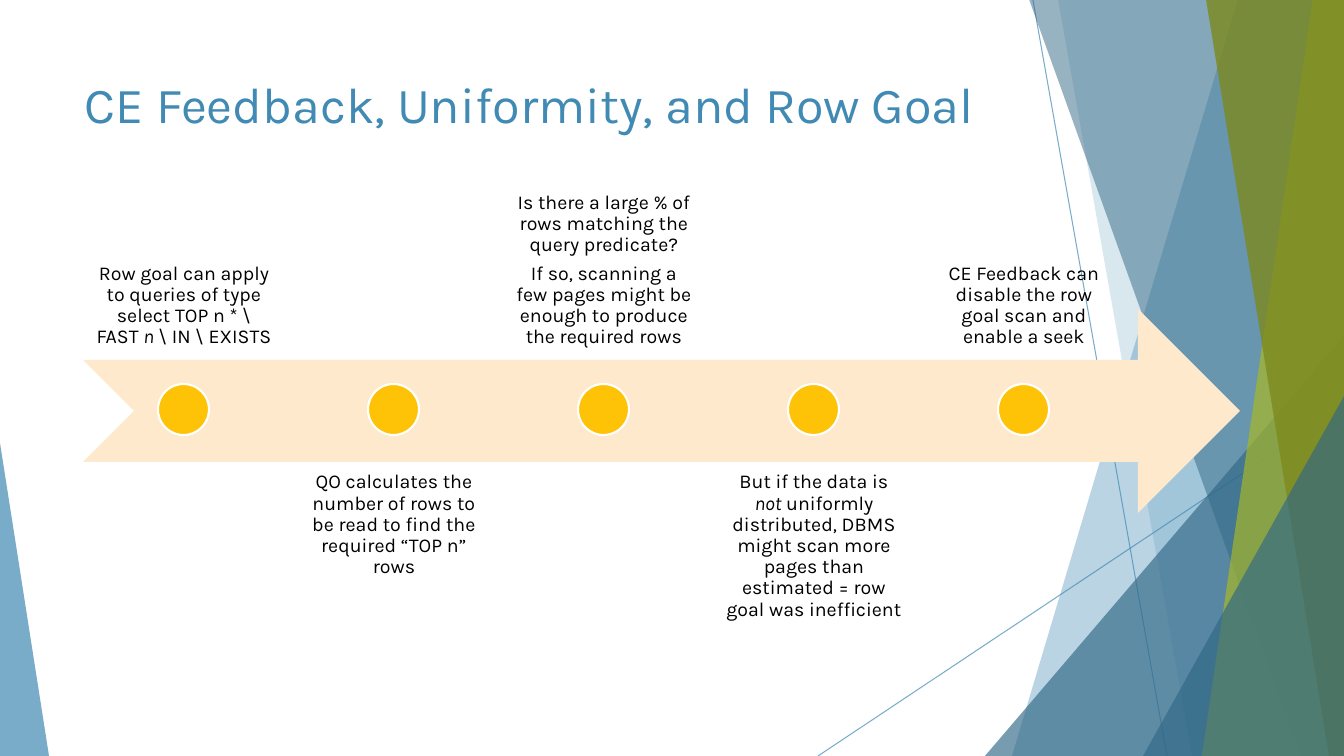
from lxml.etree import SubElement
from pptx import Presentation
from pptx.dml.color import RGBColor
from pptx.enum.shapes import MSO_CONNECTOR, MSO_SHAPE
from pptx.enum.text import MSO_ANCHOR, PP_ALIGN
from pptx.oxml.ns import qn
from pptx.util import Emu, Pt

W, H = 1344, 756
BLUE = RGBColor(0x41, 0x8A, 0xB3)
DARK_BLUE = RGBColor(0x31, 0x68, 0x86)
GREEN = RGBColor(0xA6, 0xB7, 0x27)
OLIVE = RGBColor(0x7D, 0x89, 0x1D)
CREAM = RGBColor(0xFF, 0xE9, 0xCC)
GOLD = RGBColor(0xFE, 0xC3, 0x06)
WHITE = RGBColor(0xFF, 0xFF, 0xFF)
BLACK = RGBColor(0, 0, 0)
FONT = "Karla"


def px(n):
    return Emu(round(n * 12192000 / W))


def paint(fill, color, opacity=100):
    fill.solid()
    fill.fore_color.rgb = color
    if opacity < 100:
        clr = fill._xPr.find(qn("a:solidFill"))[0]
        SubElement(clr, qn("a:alpha")).set("val", str(opacity * 1000))


prs = Presentation()
prs.slide_width, prs.slide_height = px(W), px(H)
slide = prs.slides.add_slide(prs.slide_layouts[6])
shapes = slide.shapes

# Thin background lines
for x1, y1, x2, y2 in [(1033, 0, 1167, H), (W, 406, 818, H)]:
    line = shapes.add_connector(MSO_CONNECTOR.STRAIGHT, px(x1), px(y1), px(x2), px(y2))
    line.line.width = Pt(0.75)
    paint(line.line.fill, BLUE, 70)
    SubElement(line._element.spPr, qn("a:effectLst"))

# Translucent facets, back to front: bands give (top x, bottom x) of their
# left edge, triangles give (left, top, width, apex)
facets = [
    ((1238, 1012), BLUE, 36),
    ((1058, 1192), BLUE, 20),
    ((985, 336, 359, 1), DARK_BLUE, 66),
    ((1029, 1301), DARK_BLUE, 50),
    ((1313, 1202), GREEN, 70),
    ((1206, 1329), OLIVE, 80),
    ((1143, 396, 201, 1), DARK_BLUE, 66),
    ((0, 443, 49, 0), BLUE, 70),
]
for geometry, color, opacity in facets:
    if len(geometry) == 2:
        top_x, bottom_x = geometry
        builder = shapes.build_freeform(px(top_x), px(-1))
        corners = [(W, -1), (W, H), (bottom_x, H)]
        builder.add_line_segments([(px(x), px(y)) for x, y in corners])
        sp = builder.convert_to_shape()
    else:
        left, top, width, apex = geometry
        sp = shapes.add_shape(MSO_SHAPE.ISOSCELES_TRIANGLE,
                              px(left), px(top), px(width), px(H - top))
        sp.adjustments[0] = apex
    sp.shadow.inherit = False
    paint(sp.fill, color, opacity)
    sp.line.fill.background()

# Title
tf = shapes.add_textbox(px(75), px(68), px(948), px(152)).text_frame
tf.word_wrap = True
p = tf.paragraphs[0]
p.text = "CE Feedback, Uniformity, and Row Goal"
p.font.name, p.font.size, p.font.color.rgb = FONT, Pt(36), BLUE

# Timeline arrow
arrow = shapes.add_shape(MSO_SHAPE.NOTCHED_RIGHT_ARROW, px(83), px(309), px(1157), px(204))
arrow.shadow.inherit = False
paint(arrow.fill, CREAM)
arrow.line.fill.background()

# Steps: paragraphs made of runs, every second run in italics
steps = [
    [["Row goal can apply to queries of type select TOP n * \\ FAST ", "n",
      " \\ IN \\ EXISTS"]],
    [["QO calculates the number of rows to be read to find the required “TOP n” rows"]],
    [["Is there a large % of rows matching the query predicate?"],
     ["If so, scanning a few pages might be enough to produce the required rows"]],
    [["But if the data is ", "not", " uniformly distributed, DBMS might scan more "
      "pages than estimated = row goal was inefficient"]],
    [["CE Feedback can disable the row goal scan and enable a seek"]],
]
for i, paragraphs in enumerate(steps):
    left = 84 + 210 * i
    above = i % 2 == 0
    tf = shapes.add_textbox(px(left), px(155 if above else 461), px(200), px(204)).text_frame
    tf.word_wrap = True
    tf.vertical_anchor = MSO_ANCHOR.BOTTOM if above else MSO_ANCHOR.TOP
    tf.margin_left = tf.margin_right = tf.margin_top = tf.margin_bottom = px(11)
    for j, runs in enumerate(paragraphs):
        p = tf.add_paragraph() if j else tf.paragraphs[0]
        p.alignment, p.line_spacing, p.space_after = PP_ALIGN.CENTER, 0.9, Pt(5)
        p.font.name, p.font.size, p.font.color.rgb = FONT, Pt(14), BLACK
        for k, text in enumerate(runs):
            r = p.add_run()
            r.text = text
            if k % 2:
                r.font.italic = True

    dot = shapes.add_shape(MSO_SHAPE.OVAL, px(left + 74), px(384), px(51), px(51))
    dot.shadow.inherit = False
    paint(dot.fill, GOLD)
    dot.line.color.rgb, dot.line.width = WHITE, Pt(1.5)

prs.save("out.pptx")
